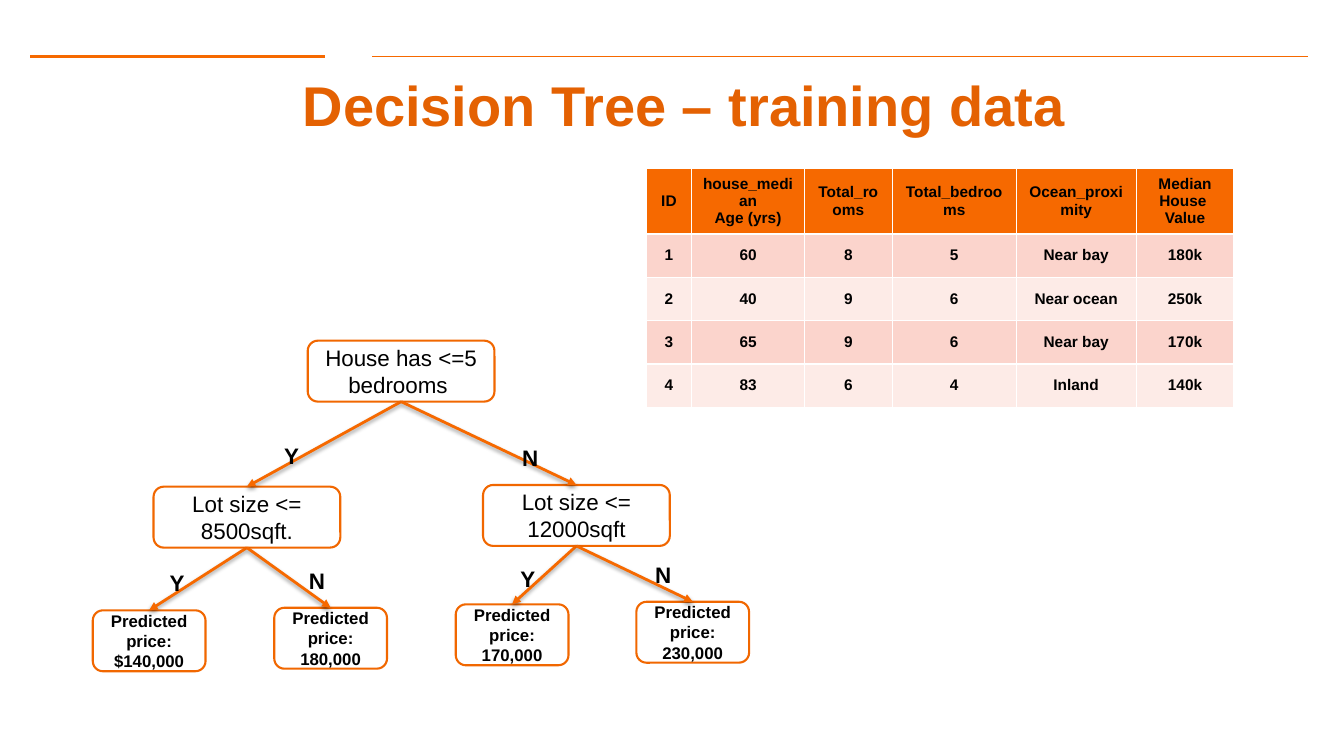
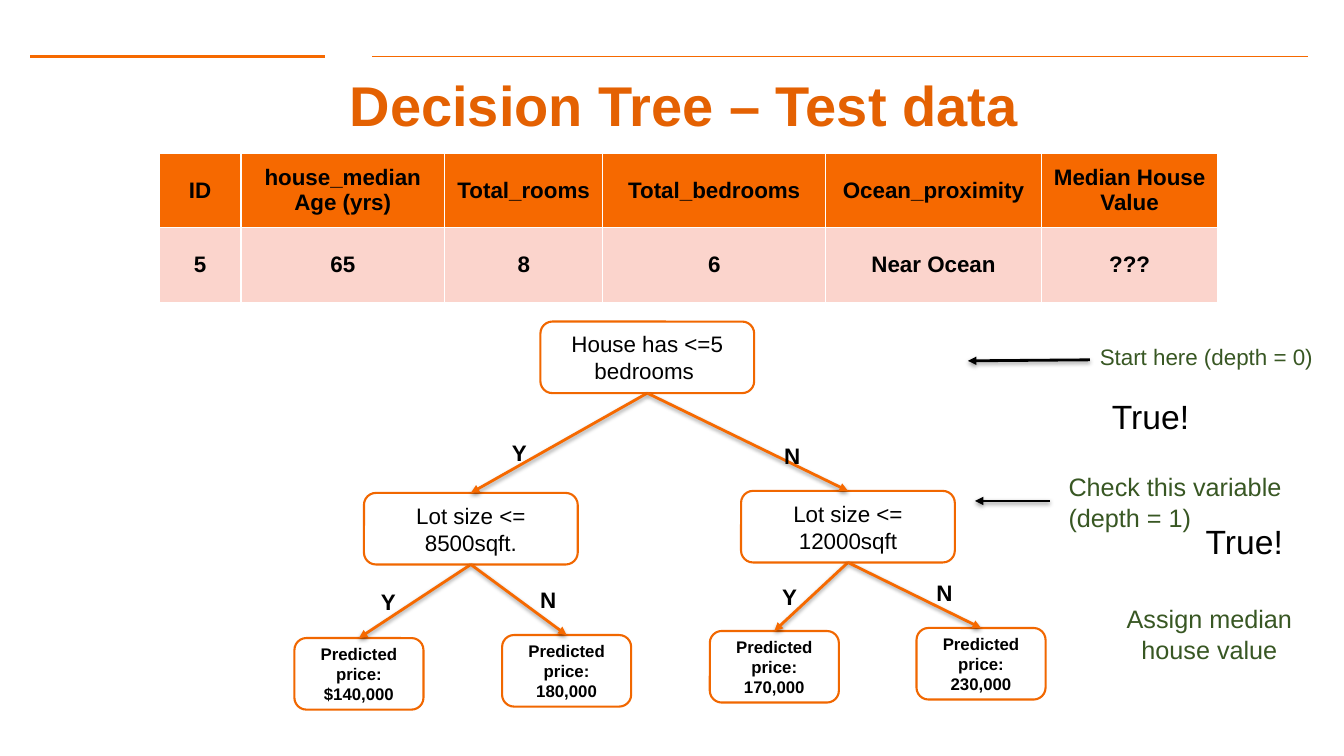
from lxml import etree
from pptx import Presentation
from pptx.dml.color import RGBColor
from pptx.enum.shapes import MSO_CONNECTOR, MSO_SHAPE
from pptx.enum.text import MSO_ANCHOR, PP_ALIGN
from pptx.oxml.ns import qn
from pptx.util import Inches, Pt

STRAIGHT = MSO_CONNECTOR.STRAIGHT
ROUNDED = MSO_SHAPE.ROUNDED_RECTANGLE
LEFT, CENTER = PP_ALIGN.LEFT, PP_ALIGN.CENTER
TOP, MIDDLE = MSO_ANCHOR.TOP, MSO_ANCHOR.MIDDLE

ORANGE = RGBColor(0xF6, 0x69, 0x00)
NODE_ORANGE = RGBColor(0xF1, 0x67, 0x00)
TITLE_ORANGE = RGBColor(0xE4, 0x61, 0x02)
PINK = RGBColor(0xFB, 0xD4, 0xCC)
PALE_PINK = RGBColor(0xFD, 0xEB, 0xE7)
GREEN = RGBColor(0x38, 0x57, 0x23)
BLACK = RGBColor(0x00, 0x00, 0x00)
FONT = "Arial"


def add_line(slide, start, end, color, width, arrow=False):
    """Draw a straight line, or an arrow with a soft shadow below it."""
    ends = [Inches(value) for value in (*start, *end)]
    connector = slide.shapes.add_connector(STRAIGHT, *ends)
    connector.line.color.rgb = color
    connector.line.width = Pt(width)
    properties = connector.line._get_or_add_ln().getparent()
    effects = etree.SubElement(properties, qn("a:effectLst"))
    if arrow:
        outline = properties.find(qn("a:ln"))
        etree.SubElement(outline, qn("a:tailEnd"), type="triangle")
        shadow = etree.SubElement(
            effects, qn("a:outerShdw"), blurRad=str(Pt(3.1)),
            dist=str(Pt(1.6)), dir="5400000", rotWithShape="0")
        tint = etree.SubElement(shadow, qn("a:srgbClr"), val="000000")
        etree.SubElement(tint, qn("a:alpha"), val="38000")


def write(frame, text, size, color=BLACK, bold=False, align=LEFT, anchor=TOP, wrap=True):
    """Fill a text frame, one paragraph per line of text."""
    frame.text = text
    frame.word_wrap = wrap
    frame.vertical_anchor = anchor
    style = {"name": FONT, "size": Pt(size), "bold": bold}
    for paragraph in frame.paragraphs:
        paragraph.alignment = align
        for name, value in style.items():
            setattr(paragraph.font, name, value)
        paragraph.font.color.rgb = color


# Tree in its own frame: text, left, top, then the parent's index
TREE_WIDTH, TREE_HEIGHT = 7.45, 3.85
NODE_HEIGHT, SPLIT_WIDTH, LEAF_WIDTH = 0.71, 2.12, 1.28
NODES = [
    ("House has <=5 bedrooms ", 2.44, 0, None),
    ("Lot size <= 8500sqft.", 0.69, 1.7, 0),
    ("Lot size <= 12000sqft", 4.43, 1.68, 0),
    ("Predicted price: $140,000", 0, 3.14, 1),
    ("Predicted price: 180,000", 2.06, 3.11, 1),
    ("Predicted price: 170,000", 4.12, 3.07, 2),
    ("Predicted price: 230,000", 6.17, 3.04, 2),
]
BRANCHES = [
    ("Y", 2.06, 1.12), ("Y", 0.76, 2.6), ("Y", 4.74, 2.55),
    ("N", 4.76, 1.15), ("N", 2.34, 2.58), ("N", 6.27, 2.51),
]

HEADER = ["ID", "house_median\nAge (yrs)", "Total_rooms", "Total_bedrooms",
          "Ocean_proximity", "Median House \nValue"]
SLIDES = [
    {"title": "Decision Tree – training data",
     "rows": [["1", "60", "8", "5", "Near bay", "180k"],
              ["2", "40", "9", "6", "Near ocean", "250k"],
              ["3", "65", "9", "6", "Near bay", "170k"],
              ["4", "83", "6", "4", "Inland", "140k"]],
     "table": (6.41, 1.67), "row_height": 0.43, "table_size": 11,
     "columns": [0.45, 1.12, 0.87, 1.23, 1.19, 0.97],
     "tree": (0.92, 3.38, 6.51, 3.28),
     "notes": [], "pointers": []},
    {"title": "Decision Tree – Test data",
     "rows": [["5", "65", "8", "6", "Near Ocean", "???"]],
     "table": (1.58, 1.52), "row_height": 0.74, "table_size": 16,
     "columns": [0.81, 2.02, 1.57, 2.21, 2.14, 1.75],
     "tree": (2.92, 3.19, TREE_WIDTH, TREE_HEIGHT),
     "notes": [("Start here (depth = 0)", (10.81, 3.36, 2.44, 0.37), 16, GREEN, LEFT),
               ("True!", (10.93, 3.88, 1.01, 0.5), 24, BLACK, LEFT),
               ("Check this variable\n(depth = 1)", (10.5, 4.63, 2.37, 0.71), 18, GREEN, LEFT),
               ("True!", (11.86, 5.12, 1.01, 0.5), 24, BLACK, LEFT),
               ("Assign median house value", (10.81, 5.94, 2.37, 0.71), 18, GREEN, CENTER)],
     "pointers": [((10.81, 3.57), (9.6, 3.58)), ((10.41, 4.97), (9.67, 4.97))]},
]

presentation = Presentation()
presentation.slide_width = Inches(13.33)
presentation.slide_height = Inches(7.5)
blank = presentation.slide_layouts[6]

for content in SLIDES:
    slide = presentation.slides.add_slide(blank)
    shapes = slide.shapes

    # Rules and title
    add_line(slide, (0.3, 0.56), (3.22, 0.56), ORANGE, 2)
    add_line(slide, (3.69, 0.56), (12.97, 0.56), ORANGE, 1)
    title = shapes.add_textbox(Inches(0.78), Inches(0.76), Inches(12), Inches(0.55))
    write(title.text_frame, content["title"], 40, TITLE_ORANGE, True, CENTER, MIDDLE)

    # House data table
    rows = [HEADER] + content["rows"]
    columns, row_height = content["columns"], content["row_height"]
    left, top = content["table"]
    table = shapes.add_table(
        len(rows), len(columns), Inches(left), Inches(top),
        Inches(sum(columns)), Inches(row_height * len(rows))).table
    for column, width in zip(table.columns, columns):
        column.width = Inches(width)
    for row_index, values in enumerate(rows):
        table.rows[row_index].height = Inches(row_height)
        band = PINK if row_index % 2 else PALE_PINK
        for column_index, value in enumerate(values):
            cell = table.cell(row_index, column_index)
            cell.fill.solid()
            cell.fill.fore_color.rgb = band if row_index else ORANGE
            write(cell.text_frame, value, content["table_size"], bold=True, align=CENTER)
            cell.vertical_anchor = MIDDLE

    # Side notes and their arrows
    for text, box, size, color, align in content["notes"]:
        note = shapes.add_textbox(*[Inches(value) for value in box])
        write(note.text_frame, text, size, color, align=align)
    for start, end in content["pointers"]:
        add_line(slide, start, end, BLACK, 2, arrow=True)

    # Tree nodes, each joined to its parent
    tree_left, tree_top, tree_width, tree_height = content["tree"]
    scale_x, scale_y = tree_width / TREE_WIDTH, tree_height / TREE_HEIGHT
    height = NODE_HEIGHT * scale_y
    bottoms = []
    for text, x, y, parent in NODES:
        is_leaf = text.startswith("Predicted")
        width = (LEAF_WIDTH if is_leaf else SPLIT_WIDTH) * scale_x
        left, top = tree_left + x * scale_x, tree_top + y * scale_y
        node = shapes.add_shape(ROUNDED, Inches(left), Inches(top), Inches(width), Inches(height))
        node.shadow.inherit = False
        node.fill.background()
        node.line.color.rgb = NODE_ORANGE
        node.line.width = Pt(1.5)
        write(node.text_frame, text, 12 if is_leaf else 16, bold=is_leaf,
              align=CENTER, anchor=MIDDLE)
        middle = left + width / 2
        bottoms.append((middle, top + height))
        if parent is not None:
            add_line(slide, bottoms[parent], (middle, top), ORANGE, 2, arrow=True)

    # Branch labels
    for text, x, y in BRANCHES:
        label = shapes.add_textbox(
            Inches(tree_left + x * scale_x), Inches(tree_top + y * scale_y),
            Inches(0.36 * scale_x), Inches(0.37 * scale_y))
        write(label.text_frame, text, 16, bold=True, wrap=False)

presentation.save("out.pptx")
